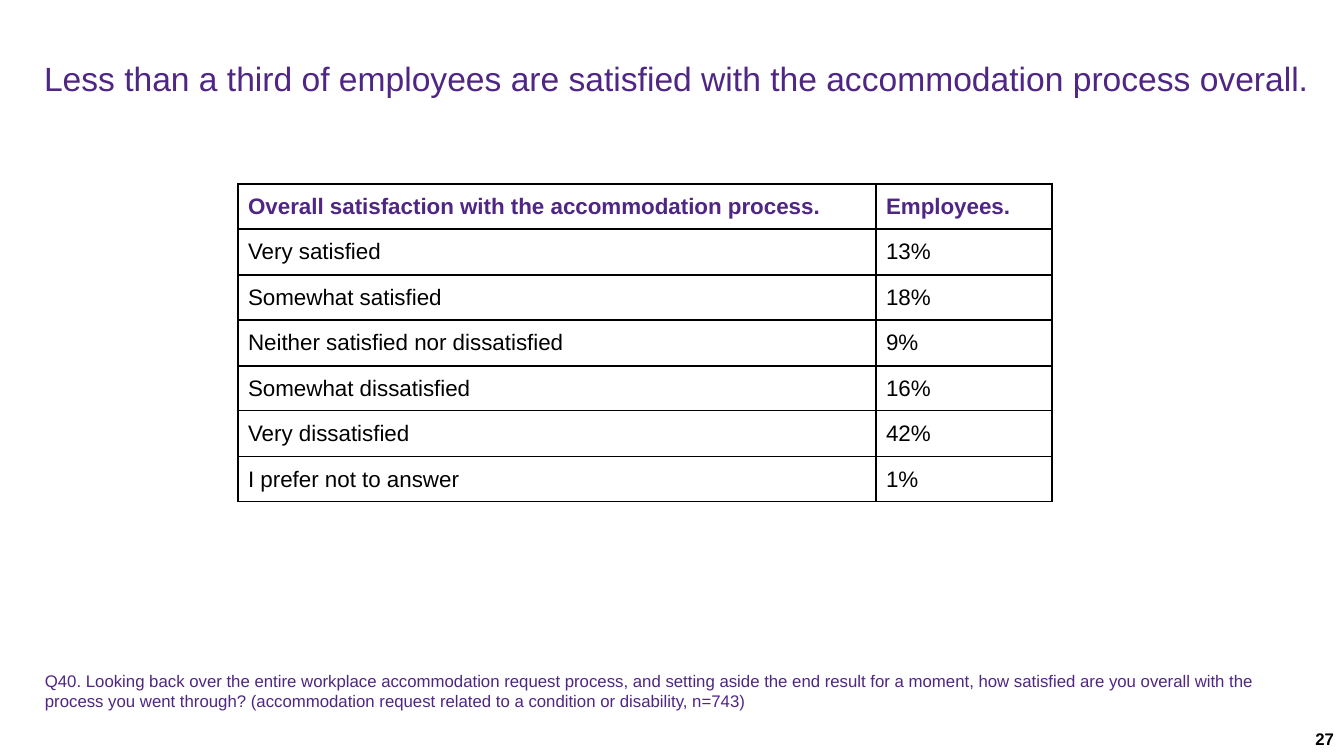
from lxml import etree
from pptx import Presentation, util as u
from pptx.dml.color import RGBColor
from pptx.enum import text
from pptx.oxml.ns import qn

PX = 914400 / 100.8  # EMU in one px

THEME = {
    "font": "Arial",
    "purple": RGBColor(0x4F, 0x26, 0x84),
    "black": RGBColor(0, 0, 0),
    "title": u.Pt(24),
    "table": u.Pt(16),
    "small": u.Pt(12),
    "border": u.Pt(1),
}


def px(*lengths):
    return [u.Emu(round(length * PX)) for length in lengths]


def write(frame, words, **font_format):
    paragraph = frame.paragraphs[0]
    run = paragraph.add_run()
    run.text = words
    color = font_format.pop("color")
    for key, value in {"name": THEME["font"], **font_format}.items():
        setattr(run.font, key, value)
    run.font.color.rgb = color
    return paragraph


deck = Presentation()
deck.slide_width, deck.slide_height = px(1344, 756)
slide = deck.slides.add_slide(deck.slide_layouts[6])

# Headline
headline = slide.shapes.add_textbox(*px(44, 60, 1289, 78)).text_frame
headline_format = {
    "word_wrap": True,
    "margin_left": 0,
    "margin_right": 0,
    "margin_top": px(2)[0],
    "margin_bottom": px(2)[0],
}
for key, value in headline_format.items():
    setattr(headline, key, value)
write(
    headline,
    "Less than a third of employees are satisfied with the accommodation process overall.",
    size=THEME["title"], color=THEME["purple"],
).line_spacing = 0.9

# Satisfaction table
satisfaction = [
    ("Overall satisfaction with the accommodation process.", "Employees."),
    ("Very satisfied", "13%"),
    ("Somewhat satisfied", "18%"),
    ("Neither satisfied nor dissatisfied", "9%"),
    ("Somewhat dissatisfied", "16%"),
    ("Very dissatisfied", "42%"),
    ("I prefer not to answer", "1%"),
]
table_height = 318
row_edges = [round(i * table_height / len(satisfaction)) for i in range(len(satisfaction) + 1)]
table = slide.shapes.add_table(
    len(satisfaction), 2, *px(238, 184, 814, table_height)
).table
table.horz_banding = False
for column, width in zip(table.columns, px(638, 176)):
    column.width = width

for r, answers in enumerate(satisfaction):
    table.rows[r].height = px(row_edges[r + 1] - row_edges[r])[0]
    for c, words in enumerate(answers):
        cell = table.cell(r, c)
        cell.vertical_anchor = text.MSO_ANCHOR.MIDDLE
        write(
            cell.text_frame, words, size=THEME["table"], bold=r == 0,
            color=THEME["purple"] if r == 0 else THEME["black"],
        )
        # Cell borders come before the fill in the cell properties
        properties = cell._tc.get_or_add_tcPr()
        for side in ("a:lnL", "a:lnR", "a:lnT", "a:lnB"):
            border = etree.SubElement(properties, qn(side), w=str(THEME["border"]))
            border_fill = etree.SubElement(border, qn("a:solidFill"))
            etree.SubElement(border_fill, qn("a:srgbClr"), val=str(THEME["black"]))
        cell.fill.background()

# Survey question
question = slide.shapes.add_textbox(*px(35, 666, 1245, 50)).text_frame
question.word_wrap = True
write(
    question,
    "Q40. Looking back over the entire workplace accommodation request process, "
    "and setting aside the end result for a moment, how satisfied are you overall "
    "with the process you went through? (accommodation request related to a "
    "condition or disability, n=743)",
    size=THEME["small"], color=THEME["purple"],
)

# Page number
page_number = slide.shapes.add_textbox(*px(1041, 724, 303, 32)).text_frame
page_number.word_wrap = True
write(
    page_number, "27", size=THEME["small"], bold=True, color=THEME["black"]
).alignment = text.PP_ALIGN.RIGHT

deck.save("out.pptx")
